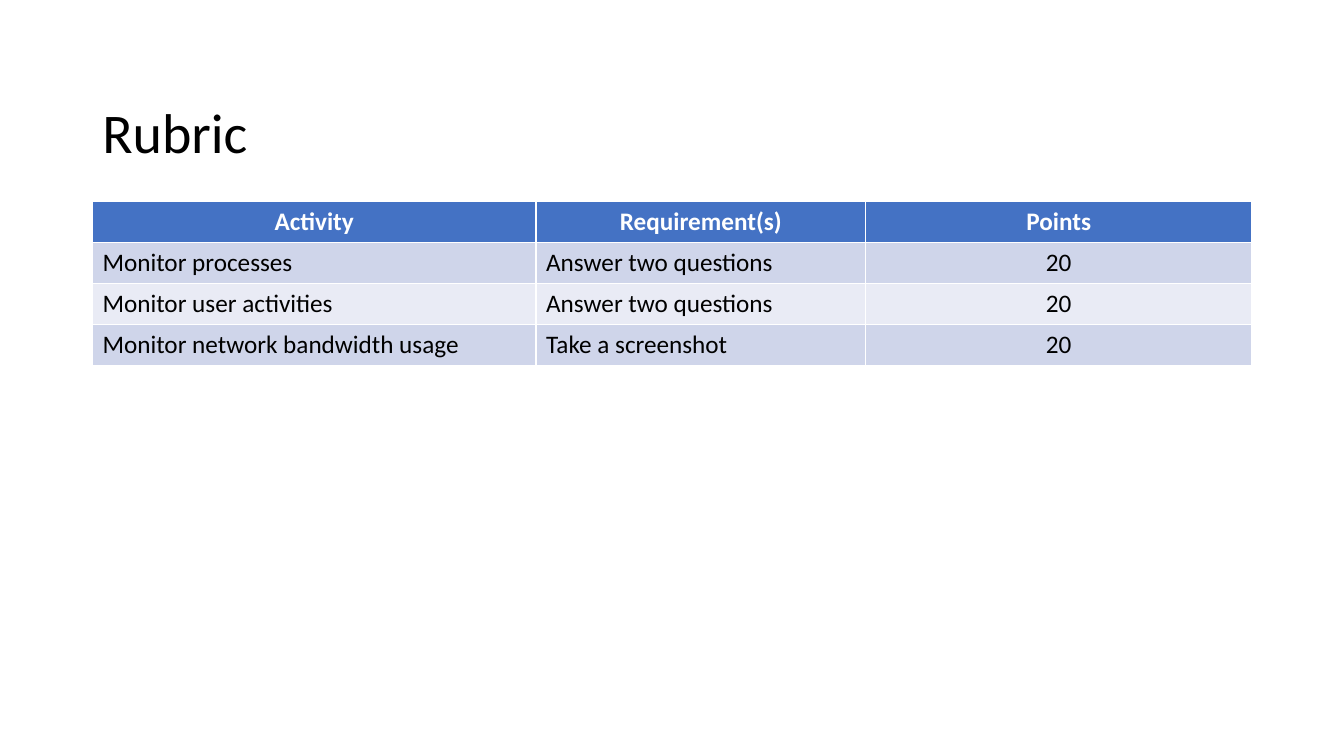
from pptx import Presentation
from pptx.dml.color import RGBColor
from pptx.enum.text import MSO_ANCHOR, PP_ALIGN
from pptx.util import Cm, Pt


def color(hex_string):
    return RGBColor.from_string(hex_string)


def write(paragraph, text, ink, **font_format):
    """Put text into the paragraph as one run in Calibri."""
    run = paragraph.add_run()
    run.text = text
    run.font.color.rgb = color(ink)
    for attribute, value in {"name": "Calibri", **font_format}.items():
        setattr(run.font, attribute, value)


presentation = Presentation()
presentation.slide_width = Cm(33.87)
presentation.slide_height = Cm(19.05)
slide = presentation.slides.add_slide(presentation.slide_layouts[6])

LEFT, WIDTH = Cm(2.33), Cm(29.21)

title = slide.shapes.add_textbox(LEFT, Cm(2.12), WIDTH, Cm(2.58)).text_frame
title.word_wrap = True
title.vertical_anchor = MSO_ANCHOR.MIDDLE
title.paragraphs[0].line_spacing = 0.9
write(title.paragraphs[0], "Rubric", "000000", size=Pt(40))

criteria = [
    ("Activity", "Requirement(s)", "Points"),
    ("Monitor processes", "Answer two questions", "20"),
    ("Monitor user activities", "Answer two questions", "20"),
    ("Monitor network bandwidth usage", "Take a screenshot", "20"),
]
column_widths = [11.18, 8.31, 9.72]
HEADER_FILL = "4472C4"
BAND_FILLS = ["E9EBF5", "CFD5EA"]
POINTS_COLUMN = 2

# The default table style draws the white rules between the cells
rubric = slide.shapes.add_table(
    len(criteria), len(column_widths), LEFT, Cm(5.08), WIDTH, Cm(4.12)
).table
for column, width in zip(rubric.columns, column_widths):
    column.width = Cm(width)

for row_index, row in enumerate(criteria):
    is_header = row_index == 0
    for column_index, text in enumerate(row):
        cell = rubric.cell(row_index, column_index)
        cell.fill.solid()
        cell.fill.fore_color.rgb = color(
            HEADER_FILL if is_header else BAND_FILLS[row_index % 2]
        )
        paragraph = cell.text_frame.paragraphs[0]
        if is_header or column_index == POINTS_COLUMN:
            paragraph.alignment = PP_ALIGN.CENTER
        ink = "FFFFFF" if is_header else "000000"
        write(paragraph, text, ink, size=Pt(18), bold=is_header)

presentation.save("out.pptx")
